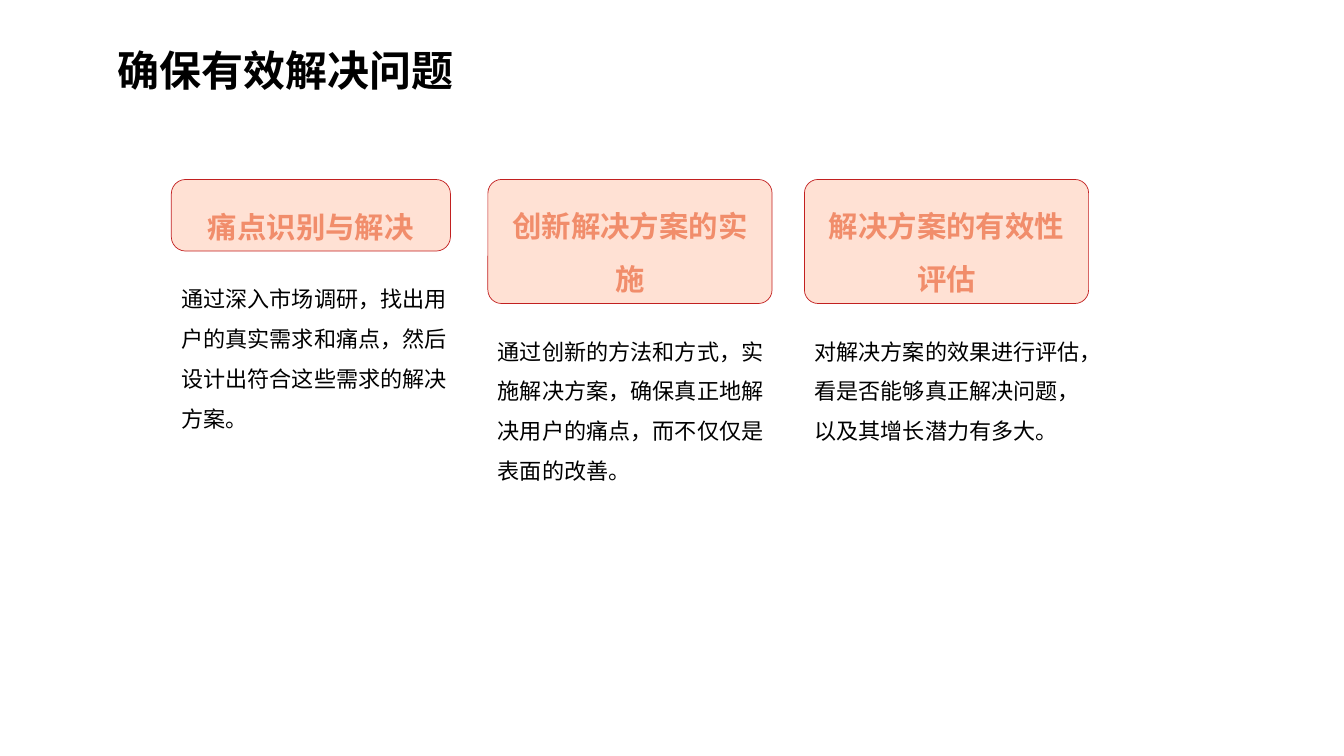
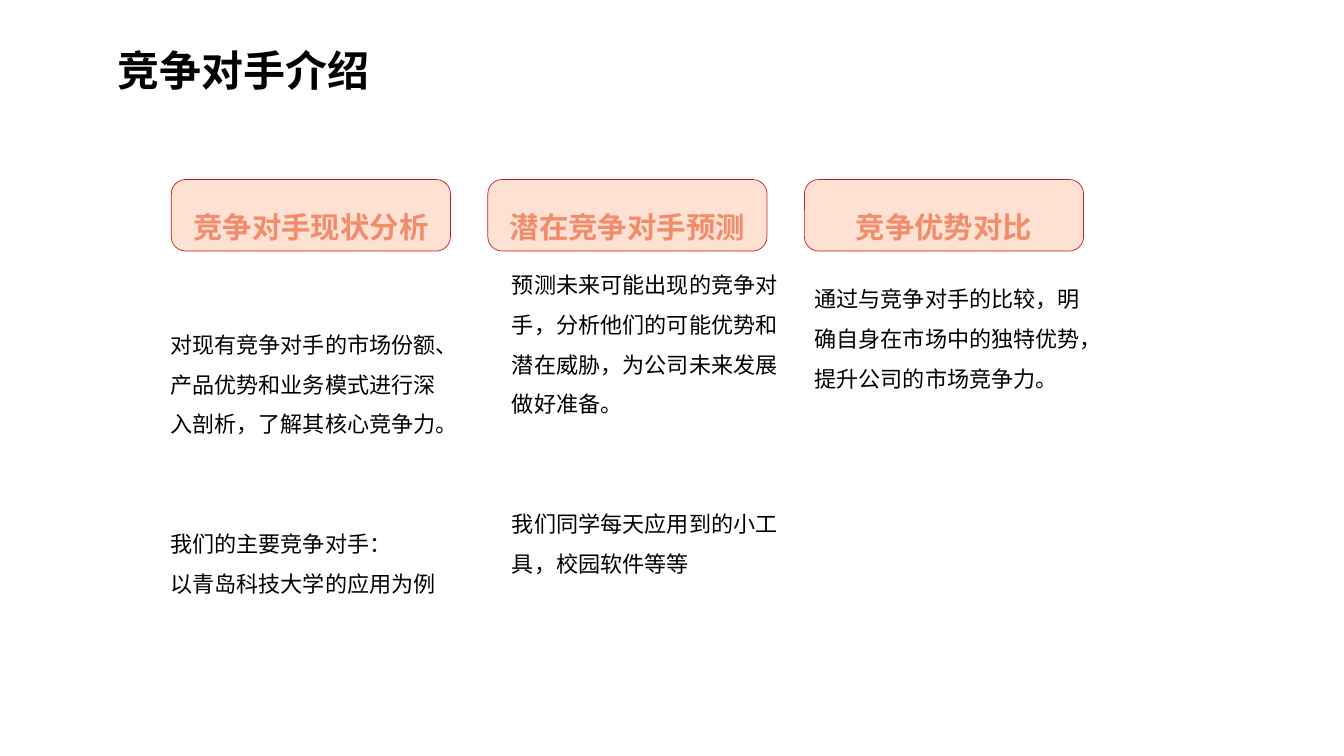
"""Build two slides of three headed columns each."""
from lxml import etree
from pptx import Presentation
from pptx.dml.color import RGBColor
from pptx.enum import shapes, text
from pptx.oxml import ns
from pptx.util import Pt

BLACK = RGBColor(0, 0, 0)
PEACH = RGBColor(0xFF, 0xE1, 0xD4)
CORAL = RGBColor(0xF1, 0x8D, 0x6B)
RED = RGBColor(0xC2, 0x20, 0x20)
FONT = "Noto Sans CJK SC"
LEFT, STEP, TOP = 122.4, 226.1, 128.2
LEAD = 1.8
SIZE = 15.8


def put(box, lines, size=SIZE, color=BLACK, bold=False,
        align=text.PP_ALIGN.LEFT, anchor=text.MSO_ANCHOR.TOP):
    frame = box.text_frame
    frame.word_wrap = True
    frame.auto_size = text.MSO_AUTO_SIZE.NONE
    frame.vertical_anchor = anchor
    frame.margin_left = frame.margin_right = Pt(7.2)
    frame.margin_top, frame.margin_bottom = Pt(5.2), Pt(2)
    for i, line in enumerate(lines):
        para = frame.paragraphs[0] if i == 0 else frame.add_paragraph()
        para.alignment = align
        para.line_spacing = Pt(round(size * LEAD, 1))
        para.space_before = Pt(2 * size * LEAD if i == 1 else 0)
        run = para.add_run()
        run.text = line
        font = run.font
        font.name, font.size, font.bold = FONT, Pt(size), bold
        font.color.rgb = color
        east = etree.SubElement(font._element, ns.qn("a:ea"))
        east.set("typeface", FONT)


SLIDES = [
    ("确保有效解决问题", [
        ("痛点识别与解决", 199.4, 51.1, LEFT, 189.4, 121,
         ["通过深入市场调研，找出用户的真实需求和痛点，然后设计出符合这些需求的解决方案。"]),
        ("创新解决方案的实施", 203, 88.6, LEFT + STEP, 226.8, 121,
         ["通过创新的方法和方式，实施解决方案，确保真正地解决用户的痛点，而不仅仅是表面的改善。"]),
        ("解决方案的有效性评估", 203, 88.6, LEFT + 2 * STEP, 226.8, 92.5,
         ["对解决方案的效果进行评估，看是否能够真正解决问题，以及其增长潜力有多大。"]),
    ]),
    ("竞争对手介绍", [
        ("竞争对手现状分析", 199.4, 51.1, 114.5, 222, 206,
         ["对现有竞争对手的市场份额、产品优势和业务模式进行深入剖析，了解其核心竞争力。",
          "我们的主要竞争对手：",
          "以青岛科技大学的应用为例"]),
        ("潜在竞争对手预测", 199.4, 51.1, 358.6, 179.3, 235,
         ["预测未来可能出现的竞争对手，分析他们的可能优势和潜在威胁，为公司未来发展做好准备。",
          "我们同学每天应用到的小工具，校园软件等等"]),
        ("竞争优势对比", 199.4, 51.1, LEFT + 2 * STEP, 189.4, 92.5,
         ["通过与竞争对手的比较，明确自身在市场中的独特优势，提升公司的市场竞争力。"]),
    ]),
]

deck = Presentation()
deck.slide_width, deck.slide_height = Pt(960), Pt(540)

for name, cols in SLIDES:
    slide = deck.slides.add_slide(deck.slide_layouts[5])
    title = slide.shapes.title
    title.left, title.top = Pt(77), Pt(8.6)
    title.width, title.height = Pt(738), Pt(61.2)
    put(title, [name], size=30, bold=True, anchor=text.MSO_ANCHOR.MIDDLE)
    for i, (head, wide, high, left, top, deep, lines) in enumerate(cols):
        body = slide.shapes.add_textbox(Pt(left), Pt(top), Pt(216), Pt(deep))
        put(body, lines)
        card = slide.shapes.add_shape(
            shapes.MSO_SHAPE.ROUNDED_RECTANGLE,
            Pt(LEFT + i * STEP), Pt(TOP), Pt(wide), Pt(high))
        card.adjustments[0] = round(10 / high, 2)
        card.shadow.inherit = False
        card.fill.solid()
        card.fill.fore_color.rgb = PEACH
        card.line.color.rgb = RED
        card.line.width = Pt(0.5)
        put(card, [head], size=21, color=CORAL, bold=True,
            align=text.PP_ALIGN.CENTER, anchor=text.MSO_ANCHOR.MIDDLE)

deck.save("out.pptx")
